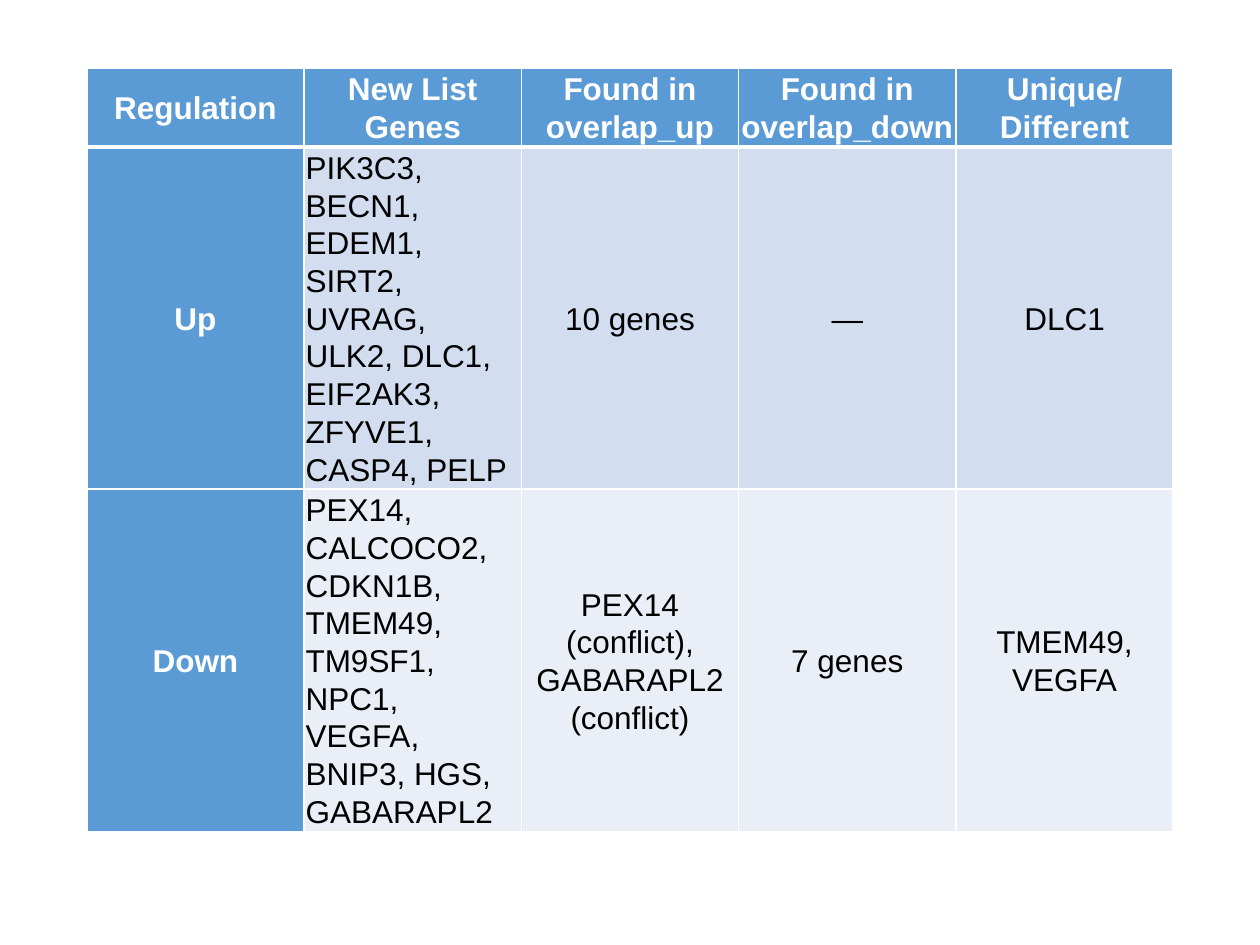
from lxml.etree import SubElement
from pptx import Presentation
from pptx.dml.color import RGBColor
from pptx.enum.text import MSO_ANCHOR, PP_ALIGN
from pptx.oxml.ns import qn
from pptx.util import Cm, Pt

WHITE = "FFFFFF"
BLACK = "000000"
HEADING_FILL = "5B9BD5"
BAND_FILLS = ["D2DEEF", "EAEFF7"]
COLUMN_WIDTH = 4.38
ROW_HEIGHTS = [1.55, 6.89, 6.89]
GENE_COLUMN = 1

ROWS = [
    ["Regulation", "New List Genes", "Found in overlap_up",
     "Found in overlap_down", "Unique/Different"],
    ["Up",
     "PIK3C3, BECN1, EDEM1, SIRT2, UVRAG, ULK2, DLC1, EIF2AK3, ZFYVE1, CASP4, PELP",
     "10 genes", "—", "DLC1"],
    ["Down",
     "PEX14, CALCOCO2, CDKN1B, TMEM49, TM9SF1, NPC1, VEGFA, BNIP3, HGS, GABARAPL2",
     "PEX14 (conflict), GABARAPL2 (conflict)", "7 genes", "TMEM49, VEGFA"],
]


def color(value):
    return RGBColor.from_string(value)


def set_borders(cell, widths):
    properties = cell._tc.get_or_add_tcPr()
    for side, width in widths.items():
        line = SubElement(properties, qn(f"a:ln{side}"), w=str(Pt(width)))
        fill = SubElement(line, qn("a:solidFill"))
        SubElement(fill, qn("a:srgbClr"), val=WHITE)


def format_cell(cell, text, fill, is_heading, alignment):
    cell.fill.solid()
    cell.fill.fore_color.rgb = color(fill)
    cell.vertical_anchor = MSO_ANCHOR.MIDDLE
    cell.margin_left = cell.margin_right = Cm(0.03)
    cell.margin_top = cell.margin_bottom = Cm(0.03)
    cell.text_frame.text = text
    paragraph = cell.text_frame.paragraphs[0]
    paragraph.alignment = alignment
    paragraph.line_spacing = 1.07
    for run in paragraph.runs:
        run.font.name = "Arial"
        run.font.size = Pt(18)
        run.font.bold = is_heading
        run.font.color.rgb = color(WHITE if is_heading else BLACK)


def add_gene_table(slide):
    column_count = len(ROWS[0])
    table = slide.shapes.add_table(
        len(ROWS), column_count, Cm(1.75), Cm(1.38),
        Cm(COLUMN_WIDTH * column_count), Cm(sum(ROW_HEIGHTS))).table
    for column in table.columns:
        column.width = Cm(COLUMN_WIDTH)
    for row_index, texts in enumerate(ROWS):
        table.rows[row_index].height = Cm(ROW_HEIGHTS[row_index])
        borders = {"L": 1, "R": 1, "T": 3 if row_index == 1 else 1,
                   "B": 3 if row_index == 0 else 1}
        for column_index, text in enumerate(texts):
            cell = table.cell(row_index, column_index)
            is_heading = row_index == 0 or column_index == 0
            is_gene_list = column_index == GENE_COLUMN and not is_heading
            fill = HEADING_FILL if is_heading else BAND_FILLS[row_index - 1]
            alignment = PP_ALIGN.LEFT if is_gene_list else PP_ALIGN.CENTER
            set_borders(cell, borders)
            format_cell(cell, text, fill, is_heading, alignment)


def main():
    presentation = Presentation()
    presentation.slide_width = Cm(25.4)
    presentation.slide_height = Cm(19.05)
    slide = presentation.slides.add_slide(presentation.slide_layouts[6])
    add_gene_table(slide)
    presentation.save("out.pptx")


if __name__ == "__main__":
    main()
